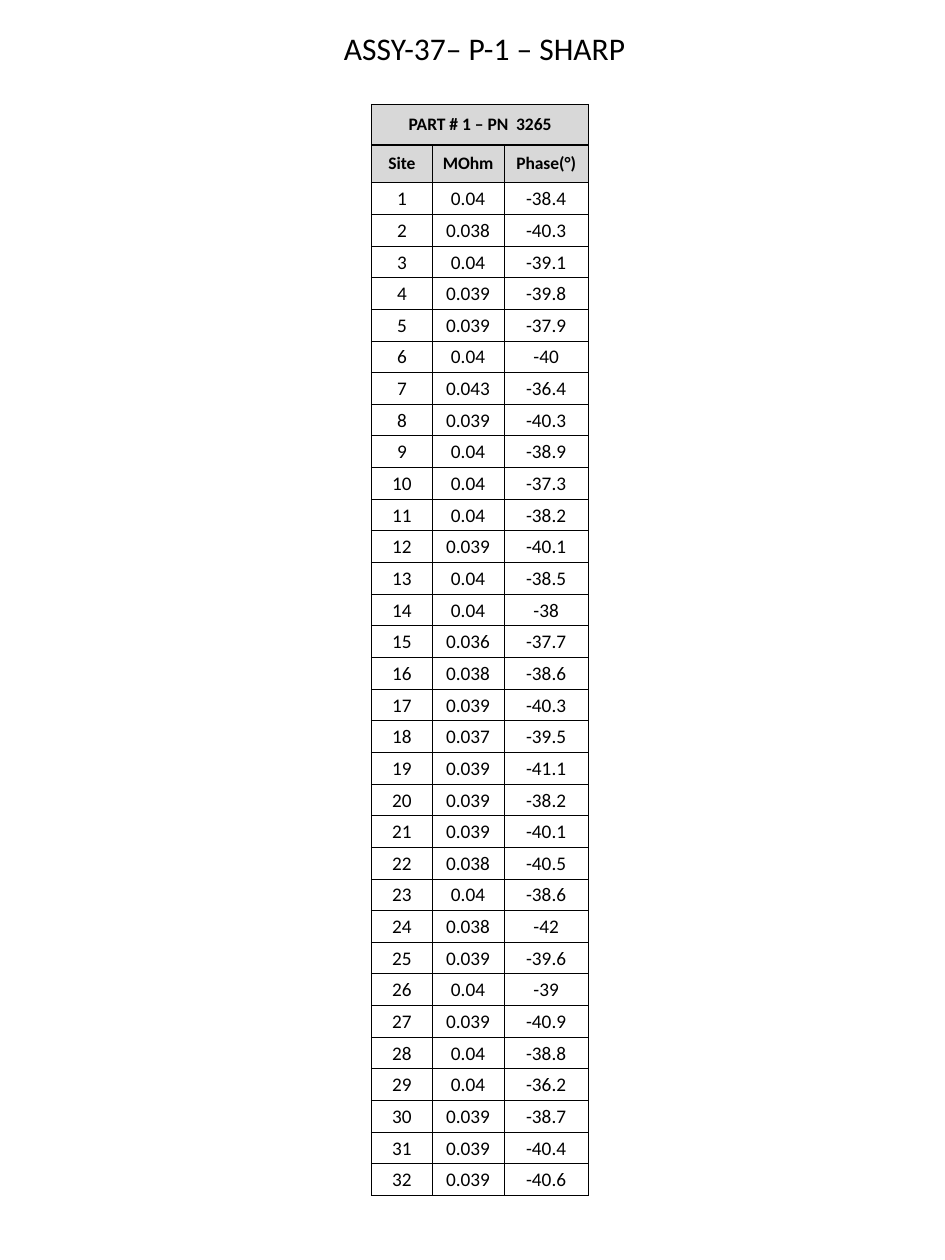
"""Build a slide with a table of impedance and phase readings for one part."""
from dataclasses import dataclass

from lxml.etree import SubElement
from pptx import Presentation
from pptx.dml.color import RGBColor
from pptx.enum.text import MSO_ANCHOR, MSO_AUTO_SIZE, PP_ALIGN
from pptx.oxml.ns import qn
from pptx.util import Inches, Pt

BLACK = RGBColor(0, 0, 0)
GRAY = RGBColor(0xD8, 0xD8, 0xD8)
FONT = "Calibri"
THIN, THICK = 0.5, 1
WIDTHS = (0.48, 0.57, 0.67)
HEADS = (0.32, 0.3)
HEIGHT = 8.67
MOHMS = """0.04 0.038 0.04 0.039 0.039 0.04 0.043 0.039 0.04 0.04 0.04
0.039 0.04 0.04 0.036 0.038 0.039 0.037 0.039 0.039 0.039 0.038 0.04
0.038 0.039 0.04 0.039 0.04 0.04 0.039 0.039 0.039""".split()
PHASES = """-38.4 -40.3 -39.1 -39.8 -37.9 -40 -36.4 -40.3 -38.9 -37.3 -38.2
-40.1 -38.5 -38 -37.7 -38.6 -40.3 -39.5 -41.1 -38.2 -40.1 -40.5 -38.6
-42 -39.6 -39 -40.9 -38.8 -36.2 -38.7 -40.4 -40.6""".split()


@dataclass
class Style:
    size: float
    bold: bool
    inset: float
    shade: bool


HEAD = Style(10, True, 0, True)
BODY = Style(11, False, 0.01, False)


def write(para, text: str, size: float, bold: bool) -> None:
    para.alignment = PP_ALIGN.CENTER
    run = para.add_run()
    run.text = text
    font = run.font
    font.name, font.size, font.bold = FONT, Pt(size), bold
    font.color.rgb = BLACK


def edge(cell, side: str, width: float) -> None:
    line = SubElement(cell._tc.get_or_add_tcPr(), qn(f"a:ln{side}"), w=str(Pt(width)))
    fill = SubElement(line, qn("a:solidFill"))
    SubElement(fill, qn("a:srgbClr"), val=str(BLACK))


def draw(cell, text: str, style: Style, row: int, col: int) -> None:
    cell.vertical_anchor = MSO_ANCHOR.MIDDLE
    cell.margin_left = cell.margin_right = cell.margin_top = Inches(style.inset)
    cell.margin_bottom = 0
    edge(cell, "L", THICK if row == 0 or col == 0 else THIN)
    edge(cell, "R", THICK if row == 0 or col == len(WIDTHS) - 1 else THIN)
    edge(cell, "T", THICK if row <= len(HEADS) else THIN)
    edge(cell, "B", THICK if row < len(HEADS) else THIN)
    if style.shade:
        cell.fill.solid()
        cell.fill.fore_color.rgb = GRAY
    else:
        cell.fill.background()
    if text:
        write(cell.text_frame.paragraphs[0], text, style.size, style.bold)


def add_grid(slide) -> None:
    sites = [(str(n), *pair) for n, pair in enumerate(zip(MOHMS, PHASES), 1)]
    rows = [("PART # 1 – PN  3265", "", ""), ("Site", "MOhm", "Phase(°)"), *sites]
    frame = slide.shapes.add_table(
        len(rows), len(WIDTHS), Inches(2.95), Inches(0.83),
        Inches(sum(WIDTHS)), Inches(HEIGHT))
    grid = frame.table
    grid.first_row = grid.horz_banding = False
    for col, width in zip(grid.columns, WIDTHS):
        col.width = Inches(width)
    step = (HEIGHT - sum(HEADS)) / len(sites)
    for r, texts in enumerate(rows):
        top = r < len(HEADS)
        grid.rows[r].height = Inches(HEADS[r] if top else step)
        for c, text in enumerate(texts):
            draw(grid.cell(r, c), text, HEAD if top else BODY, r, c)
    grid.cell(0, 0).merge(grid.cell(0, len(WIDTHS) - 1))


def add_title(slide) -> None:
    title = slide.shapes.title
    title.left, title.top = Inches(1), Inches(0.18)
    title.width, title.height = Inches(5.75), Inches(0.4)
    frame = title.text_frame
    frame.word_wrap = True
    frame.auto_size = MSO_AUTO_SIZE.SHAPE_TO_FIT_TEXT
    frame.vertical_anchor = MSO_ANCHOR.TOP
    write(frame.paragraphs[0], "ASSY-37– P-1 – SHARP ", 18, False)


def main() -> None:
    deck = Presentation()
    deck.slide_width, deck.slide_height = Inches(7.5), Inches(10)
    slide = deck.slides.add_slide(deck.slide_layouts[5])
    add_title(slide)
    add_grid(slide)
    deck.save("out.pptx")


main()
